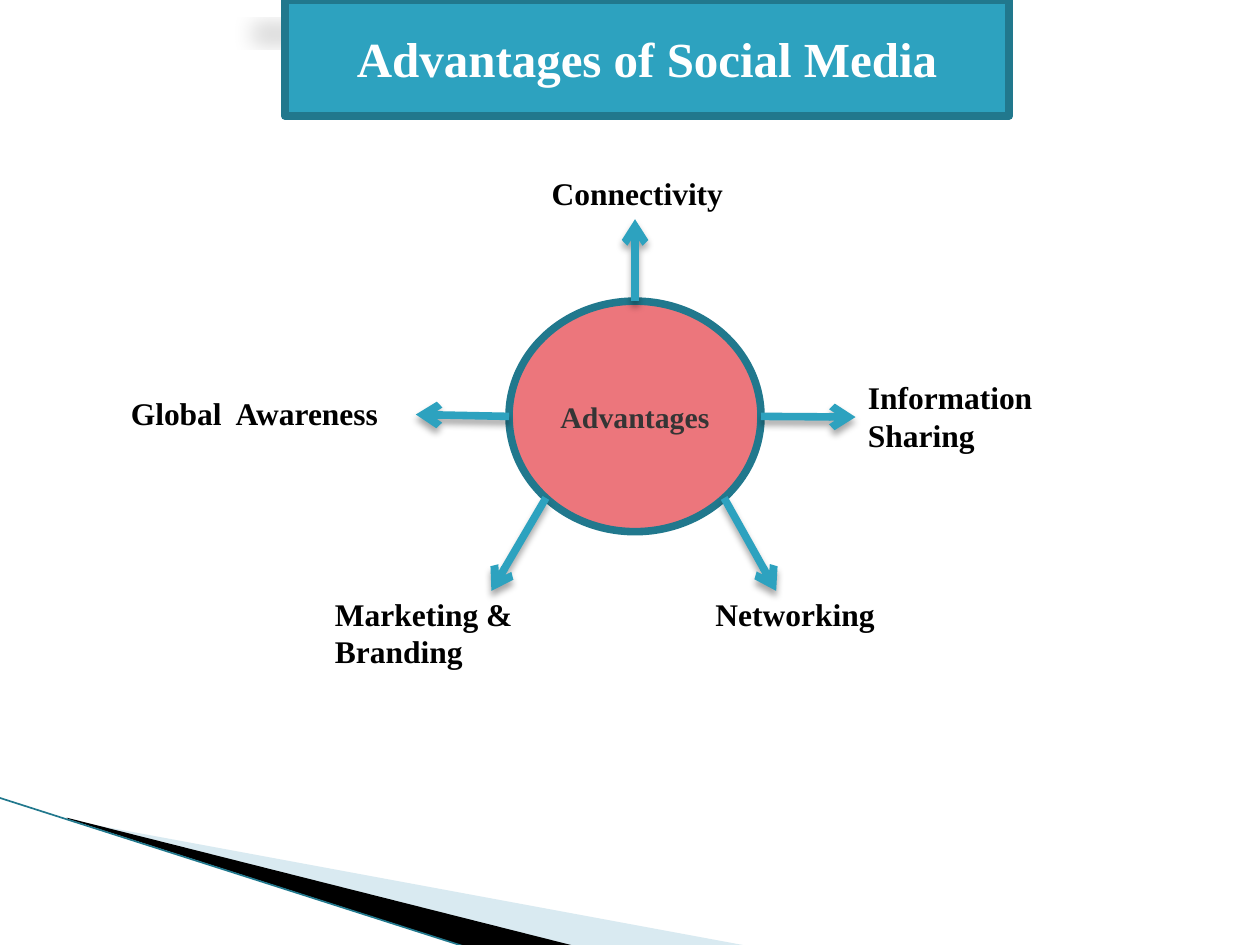
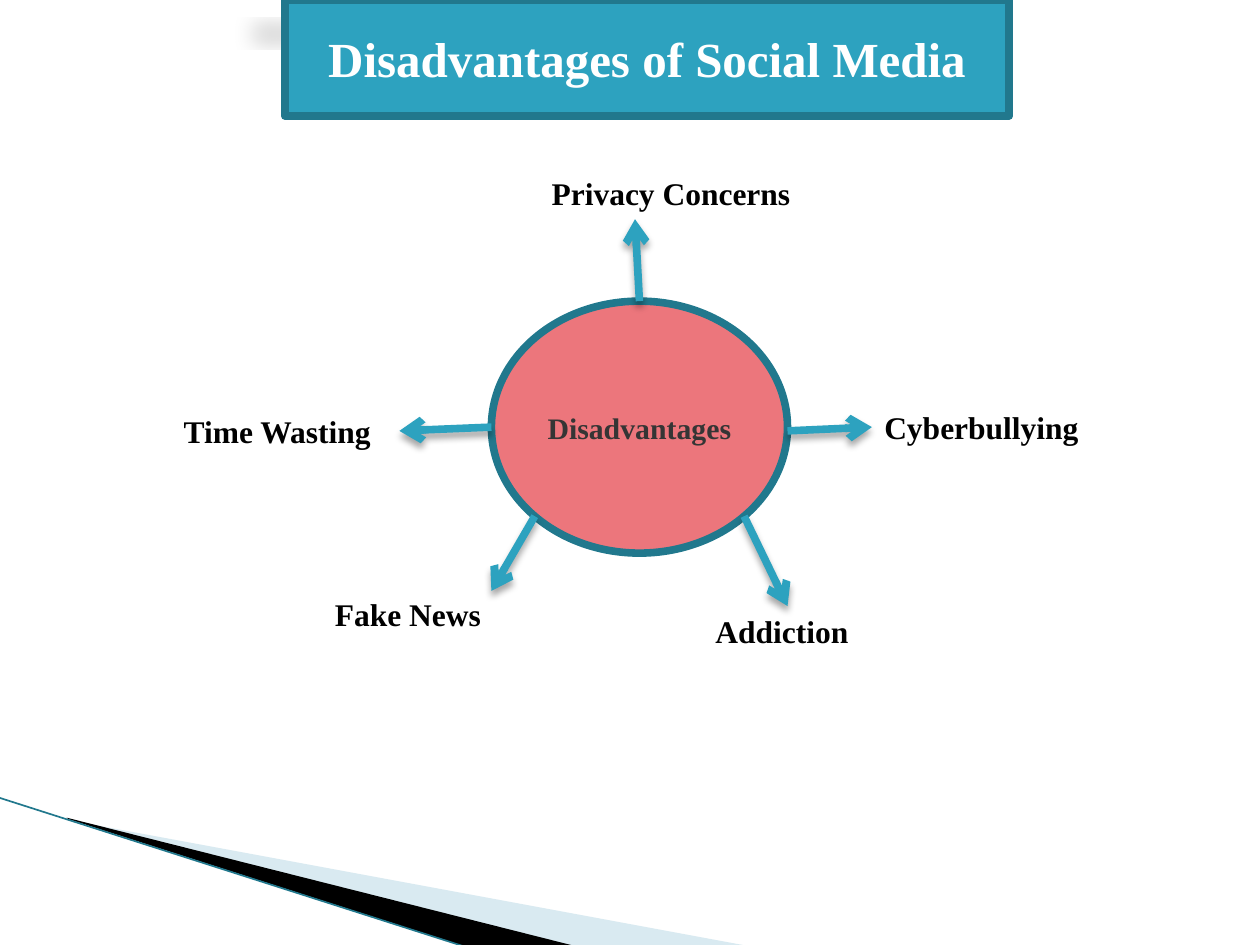
from math import cos, radians, sin

from lxml import etree
from pptx import Presentation
from pptx.dml.color import RGBColor
from pptx.enum.shapes import MSO_CONNECTOR, MSO_SHAPE
from pptx.enum.text import MSO_ANCHOR, MSO_AUTO_SIZE, PP_ALIGN
from pptx.oxml.ns import qn
from pptx.util import Pt

PX = 9144  # EMU per px, 100 px to the inch
FONT = "Times New Roman"
TEAL, DARK_TEAL, PALE_TEAL = "2DA2BF", "21788D", "A0CBDC"
CORAL, CHARCOAL, BLACK, WHITE = "EC767C", "353535", "000000", "FFFFFF"
THICK = 4.33
TITLE_ONLY = 5
TOP_SITE = 0
STRAIGHT = MSO_CONNECTOR.STRAIGHT
OVAL = MSO_SHAPE.OVAL
MIDDLE = MSO_ANCHOR.MIDDLE
CENTER, LEFT = PP_ALIGN.CENTER, PP_ALIGN.LEFT
FIT_SHAPE, NO_FIT = MSO_AUTO_SIZE.SHAPE_TO_FIT_TEXT, MSO_AUTO_SIZE.NONE

# Spoke angles, clockwise from the right
RIGHT_SIDE, LOWER_RIGHT, LOWER_LEFT, LEFT_SIDE, TOP_SIDE = 0, 45, 135, 180, 270


def px(*lengths):
    return [round(n * PX) for n in lengths]


def rgb(color):
    return RGBColor.from_string(color)


def add_color(parent, color, alpha):
    clr = etree.SubElement(parent, qn("a:srgbClr"), val=color)
    etree.SubElement(clr, qn("a:alpha"), val=str(alpha * 1000))


def paint(s, fill, line=None):
    s.fill.solid()
    s.fill.fore_color.rgb = rgb(fill)
    if line:
        s.line.color.rgb = rgb(line)
        s.line.width = Pt(THICK)
    else:
        s.line.fill.background()


def add_shadow(s, alpha, blur, dist, **scale):
    """Drop a black shadow straight down; blur and dist are in points."""
    effects = etree.SubElement(s.element.spPr, qn("a:effectLst"))
    shadow = etree.SubElement(effects, qn("a:outerShdw"), blurRad=str(Pt(blur)),
                              dist=str(Pt(dist)), dir="5400000", rotWithShape="0", **scale)
    add_color(shadow, BLACK, alpha)


def write(tf, text, size, color, align):
    tf.word_wrap = True
    p = tf.paragraphs[0]
    p.alignment = align
    r = p.add_run()
    r.text = text
    r.font.name, r.font.size, r.font.bold = FONT, Pt(size), True
    r.font.color.rgb = rgb(color)


def add_title_scroll(slide, text):
    s = slide.shapes.title
    s.left, s.top, s.width, s.height = px(226, 0, 575, 92)
    geom = etree.Element(qn("a:prstGeom"), prst="horizontalScroll")
    etree.SubElement(geom, qn("a:avLst"))
    s.element.spPr.find(qn("a:xfrm")).addnext(geom)
    paint(s, TEAL, DARK_TEAL)
    add_shadow(s, 15, 12, 25, sx="90000", sy="-19000")
    s.text_frame.auto_size = NO_FIT
    s.text_frame.vertical_anchor = MIDDLE
    write(s.text_frame, text, 28, WHITE, CENTER)


def add_hub(slide, text, box):
    s = slide.shapes.add_shape(OVAL, *px(*box))
    s.shadow.inherit = False
    paint(s, CORAL, DARK_TEAL)
    s.text_frame.vertical_anchor = MIDDLE
    write(s.text_frame, text, 17, CHARCOAL, CENTER)
    return s


def add_label(slide, text, box):
    tf = slide.shapes.add_textbox(*px(*box)).text_frame
    write(tf, text, 18, BLACK, LEFT)
    tf.auto_size = FIT_SHAPE


def add_spoke(slide, hub, angle, tip, drop):
    """Run an arrow from the hub's rim at angle, lowered by drop px, to tip."""
    x = hub.left + hub.width / 2 * (1 + cos(radians(angle)))
    y = hub.top + hub.height / 2 * (1 + sin(radians(angle))) + drop * PX
    c = slide.shapes.add_connector(STRAIGHT, round(x), round(y), *px(*tip))
    if angle == TOP_SIDE:
        c.begin_connect(hub, TOP_SITE)
    c.line.color.rgb = rgb(TEAL)
    c.line.width = Pt(THICK)
    etree.SubElement(c.line._get_or_add_ln(), qn("a:tailEnd"), type="arrow")
    add_shadow(c, 35, 4, 3)


def add_wedge(slide, points, color, alpha=100):
    builder = slide.shapes.build_freeform(*points[0], scale=PX)
    builder.add_line_segments(points[1:])
    s = builder.convert_to_shape()
    s.shadow.inherit = False
    paint(s, color)
    if alpha < 100:
        fill = s.element.spPr.find(qn("a:solidFill"))
        fill.clear()
        add_color(fill, color, alpha)
    return s


def add_corner_bands(slide):
    """Draw the bands and hand them to the slide's layout, which all slides share."""
    edge = slide.shapes.add_connector(STRAIGHT, *px(-1, 633, 371, 752))
    edge.line.color.rgb = rgb(DARK_TEAL)
    edge.line.width = Pt(0.95)
    etree.SubElement(edge.element.spPr, qn("a:effectLst"))
    bands = [
        add_wedge(slide, [(55, 651), (595, 751), (456, 751), (55, 650)], PALE_TEAL, 40),
        add_wedge(slide, [(53, 649), (457, 751), (372, 752), (54, 650)], BLACK),
        edge,
    ]
    for shape_id, band in enumerate(bands, start=101):
        band.element.xpath(".//p:cNvPr")[0].set("id", str(shape_id))
        slide.slide_layout.shapes.element.append(band.element)


def add_hub_slide(slide, title, hub_text, hub_box, spokes):
    add_title_scroll(slide, title)
    hub = add_hub(slide, hub_text, hub_box)
    for text, box, angle, tip, drop in spokes:
        add_spoke(slide, hub, angle, tip, drop)
        add_label(slide, text, box)


def main():
    prs = Presentation()
    prs.slide_width, prs.slide_height = px(1000, 750)
    layout = prs.slide_layouts[TITLE_ONLY]

    slide = prs.slides.add_slide(layout)
    add_corner_bands(slide)
    add_hub_slide(slide, "Advantages of Social Media", "Advantages", (404, 239, 200, 183), [
        ("Connectivity", (428, 133, 171, 40), TOP_SIDE, (504, 174), 0),
        ("Information Sharing", (679, 295, 177, 71), RIGHT_SIDE, (679, 331), 0),
        ("Networking", (558, 467, 242, 40), LOWER_RIGHT, (616, 469), 0),
        ("Marketing & Branding", (256, 467, 222, 71), LOWER_LEFT, (390, 469), 0),
        ("Global  Awareness", (94, 308, 240, 40), LEFT_SIDE, (330, 329), 0),
    ])

    slide = prs.slides.add_slide(layout)
    add_hub_slide(slide, "Disadvantages of Social Media", "Disadvantages", (390, 239, 235, 200), [
        ("Privacy Concerns", (428, 133, 222, 40), TOP_SIDE, (504, 174), 0),
        ("Cyberbullying", (692, 319, 177, 40), RIGHT_SIDE, (692, 339), 3),
        ("Addiction", (558, 481, 242, 40), LOWER_RIGHT, (625, 481), 0),
        ("Fake News", (256, 467, 222, 40), LOWER_LEFT, (390, 469), 0),
        ("Time Wasting", (136, 322, 181, 40), LEFT_SIDE, (317, 342), 0),
    ])
    prs.save("out.pptx")


if __name__ == "__main__":
    main()
